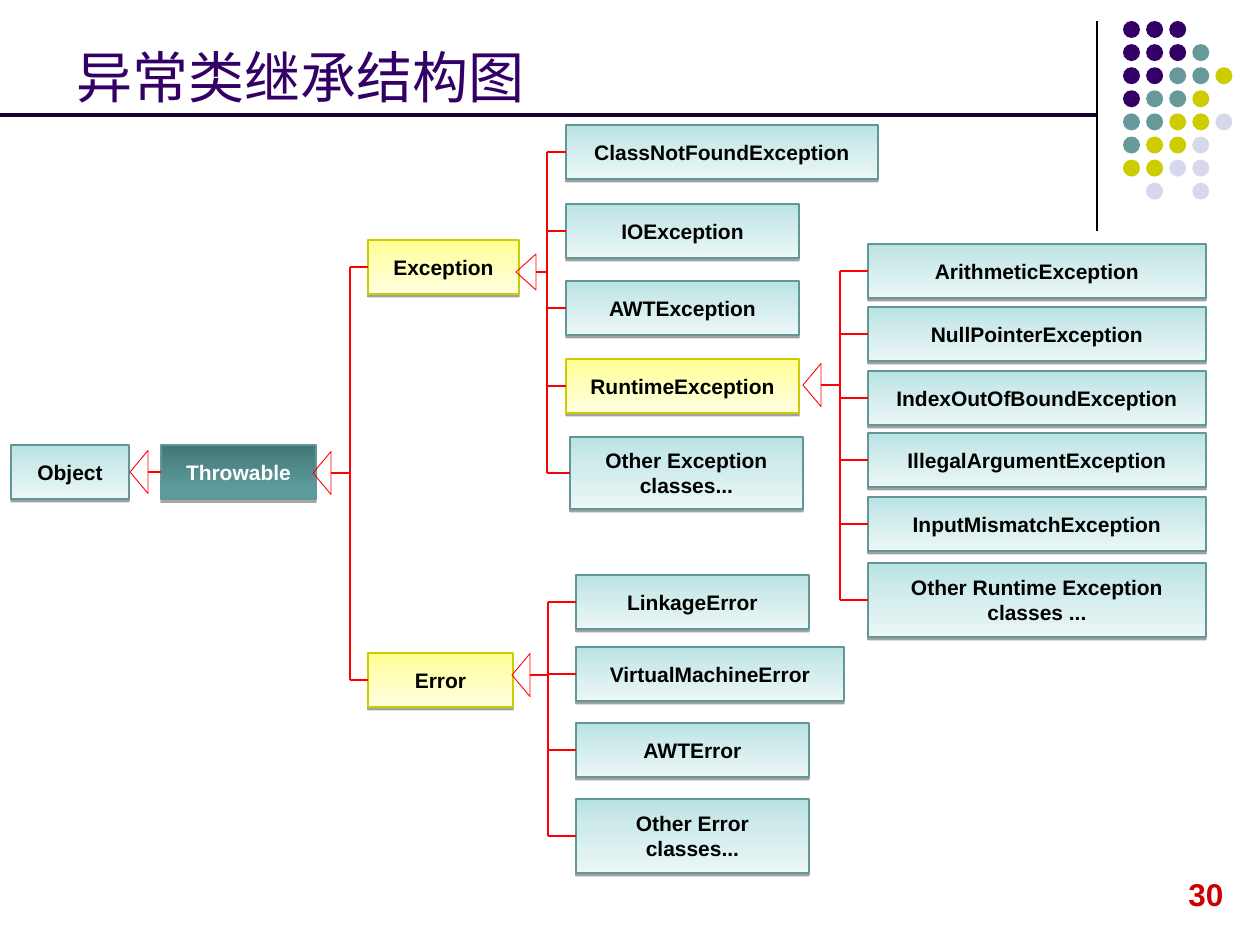
from dataclasses import dataclass

from lxml import etree
from pptx import Presentation
from pptx.dml.color import RGBColor
from pptx.enum.shapes import MSO_CONNECTOR as CONN, MSO_SHAPE as SHAPE
from pptx.enum.text import MSO_ANCHOR as ANCHOR, PP_ALIGN as ALIGN
from pptx.oxml.ns import qn
from pptx.util import Pt

PX_PER_INCH = 126
SCALE = 914400 / PX_PER_INCH
RED = "FF0000"

# kind: (gradient stops, line, text, shadow opacity %, shadow distance in points)
KINDS = {
    "teal": ([(0, "B8E2E2"), (35, "CEEAEA"), (100, "ECF7F7")], "629797", "000000", 37, 1.6),
    "yellow": ([(0, "FFFF90"), (35, "FFFFB2"), (100, "FFFFE0")], "CCCC00", "000000", 37, 1.6),
    "dark": ([(0, "447676"), (80, "5B9B9B"), (100, "5A9D9D")], "629797", "FFFFFF", 34, 1.8),
}

DOT_COLORS = {"P": "330066", "T": "669999", "Y": "CCCC00", "L": "D8D8EC"}
DOT_ROWS = ["PPP", "PPPT", "PPTTY", "PTTY", "TTYYL", "TYYL", "YYLL", " L L"]

# name: (left, top, width, height, kind)
BOXES = {
    "Object": (11, 445, 118, 54, "teal"),
    "Throwable": (161, 445, 155, 54, "dark"),
    "Exception": (368, 240, 151, 54, "yellow"),
    "Error": (368, 653, 145, 54, "yellow"),
    "ClassNotFoundException": (566, 125, 312, 54, "teal"),
    "IOException": (566, 204, 233, 54, "teal"),
    "AWTException": (566, 281, 233, 54, "teal"),
    "RuntimeException": (566, 359, 233, 54, "yellow"),
    "Other Exception classes...": (570, 437, 233, 72, "teal"),
    "LinkageError": (576, 575, 233, 54, "teal"),
    "VirtualMachineError": (576, 647, 268, 54, "teal"),
    "AWTError": (576, 723, 233, 54, "teal"),
    "Other Error classes...": (576, 799, 233, 74, "teal"),
    "ArithmeticException": (868, 244, 338, 54, "teal"),
    "NullPointerException": (868, 307, 338, 54, "teal"),
    "IndexOutOfBoundException": (868, 371, 338, 54, "teal"),
    "IllegalArgumentException": (868, 433, 338, 54, "teal"),
    "InputMismatchException": (868, 497, 338, 54, "teal"),
    "Other Runtime Exception classes ...": (868, 563, 338, 74, "teal"),
}

# (arrow tip x, y, arrow width, arrow height, spine x, subclasses)
BRANCHES = [
    (313, 473, 18, 43, 350, ["Exception", "Error"]),
    (516, 272, 20, 36, 547, ["ClassNotFoundException", "IOException", "AWTException",
                             "RuntimeException", "Other Exception classes..."]),
    (512, 675, 18, 43, 548, ["LinkageError", "VirtualMachineError", "AWTError",
                             "Other Error classes..."]),
    (803, 385, 18, 43, 840, ["ArithmeticException", "NullPointerException",
                             "IndexOutOfBoundException", "IllegalArgumentException",
                             "InputMismatchException",
                             "Other Runtime Exception classes ..."]),
]


def px(n):
    return round(n * SCALE)


def rgb(color):
    return RGBColor.from_string(color)


def sub(parent, tag, **attrs):
    """Add a drawing element, turning attribute values into text."""
    return etree.SubElement(parent, qn(tag), {k: str(v) for k, v in attrs.items()})


@dataclass
class Deck:
    slide: object
    latin: str = "Arial"
    cjk: str = "Noto Sans CJK SC"

    def add_words(self, tf, text, color, font=None, align=ALIGN.LEFT, **fmt):
        p = tf.paragraphs[0]
        p.alignment = align
        r = p.add_run()
        r.text = text
        for name, value in {"name": font or self.latin, **fmt}.items():
            setattr(r.font, name, value)
        r.font.color.rgb = rgb(color)
        if font:
            sub(r._r.get_or_add_rPr(), "a:ea", typeface=font)

    def text(self, x, y, w, h, text, color, wrap=True, anchor=ANCHOR.TOP, **fmt):
        tf = self.slide.shapes.add_textbox(px(x), px(y), px(w), px(h)).text_frame
        tf.word_wrap = wrap
        tf.vertical_anchor = anchor
        self.add_words(tf, text, color, **fmt)

    def shape(self, kind, x, y, w, h, fill=None, line=None, weight=0.75):
        s = self.slide.shapes.add_shape(kind, px(x), px(y), px(w), px(h))
        s.shadow.inherit = False
        if fill:
            s.fill.solid()
            s.fill.fore_color.rgb = rgb(fill)
        else:
            s.fill.background()
        if line:
            s.line.color.rgb = rgb(line)
            s.line.width = Pt(weight)
        else:
            s.line.fill.background()
        return s

    def box(self, text, x, y, w, h, kind):
        """Add a class box with a vertical gradient and a drop shadow."""
        stops, line, color, opacity, distance = KINDS[kind]
        s = self.shape(SHAPE.RECTANGLE, x, y, w, h, line=line)
        s.fill.gradient()
        s.fill.gradient_angle = 270
        spPr = s._element.spPr
        gs_list = spPr.find(qn("a:gradFill")).find(qn("a:gsLst"))
        for old in list(gs_list):
            gs_list.remove(old)
        for pos, stop in stops:
            sub(sub(gs_list, "a:gs", pos=pos * 1000), "a:srgbClr", val=stop)
        shadow = sub(spPr.find(qn("a:effectLst")), "a:outerShdw", blurRad=0,
                     dist=int(Pt(distance)), dir=5400000, rotWithShape=0)
        sub(sub(shadow, "a:srgbClr", val="000000"), "a:alpha", val=opacity * 1000)
        tf = s.text_frame
        tf.word_wrap = True
        tf.vertical_anchor = ANCHOR.MIDDLE
        self.add_words(tf, text, color, align=ALIGN.CENTER, size=Pt(12), bold=True)
        return s

    def line(self, x1, y1, x2, y2, color=RED, weight=0.75, end=None):
        """Add a straight line, joined to the left side of end if given."""
        c = self.slide.shapes.add_connector(CONN.STRAIGHT, px(x1), px(y1), px(x2), px(y2))
        c.line.color.rgb = rgb(color)
        c.line.width = Pt(weight)
        sub(c._element.spPr, "a:effectLst")
        if end is not None:
            c.end_connect(end, 1)

    def arrow(self, tip, y, w, h, stem_end, end=None):
        """Add a hollow left-pointing inheritance arrow and its stem."""
        s = self.shape(SHAPE.ISOSCELES_TRIANGLE, tip + (w - h) / 2, y - w / 2, h, w,
                       line=RED, weight=0.5)
        s.rotation = 270
        self.line(tip + w, y, stem_end, y, end=end)


def main():
    prs = Presentation()
    prs.slide_width, prs.slide_height = px(1260), px(945)
    deck = Deck(prs.slides.add_slide(prs.slide_layouts[6]))

    deck.line(1097, 21, 1097, 231, "000000")
    for row, marks in enumerate(DOT_ROWS):
        for col, mark in enumerate(marks):
            if mark in DOT_COLORS:
                deck.shape(SHAPE.OVAL, 1123 + 23.1 * col, 21 + 23.1 * row, 17, 17,
                           fill=DOT_COLORS[mark])
    deck.text(1176, 869, 60, 50, "30", "CC0000", wrap=False, size=Pt(18), bold=True)
    deck.text(64, 16, 1040, 100, "异常类继承结构图", "330066", anchor=ANCHOR.BOTTOM,
              font=deck.cjk, size=Pt(32))
    deck.line(0, 115, 1096, 115, "190033", 2.25)

    boxes = {name: deck.box(name, *place) for name, place in BOXES.items()}
    deck.arrow(130, 472, 18, 43, 161, boxes["Throwable"])
    for tip, y, w, h, spine, names in BRANCHES:
        deck.arrow(tip, y, w, h, spine)
        middles = [BOXES[name][1] + BOXES[name][3] / 2 for name in names]
        deck.line(spine, middles[0], spine, middles[-1])
        for name, middle in zip(names, middles):
            deck.line(spine, middle, BOXES[name][0], middle, end=boxes[name])

    prs.save("out.pptx")


if __name__ == "__main__":
    main()
